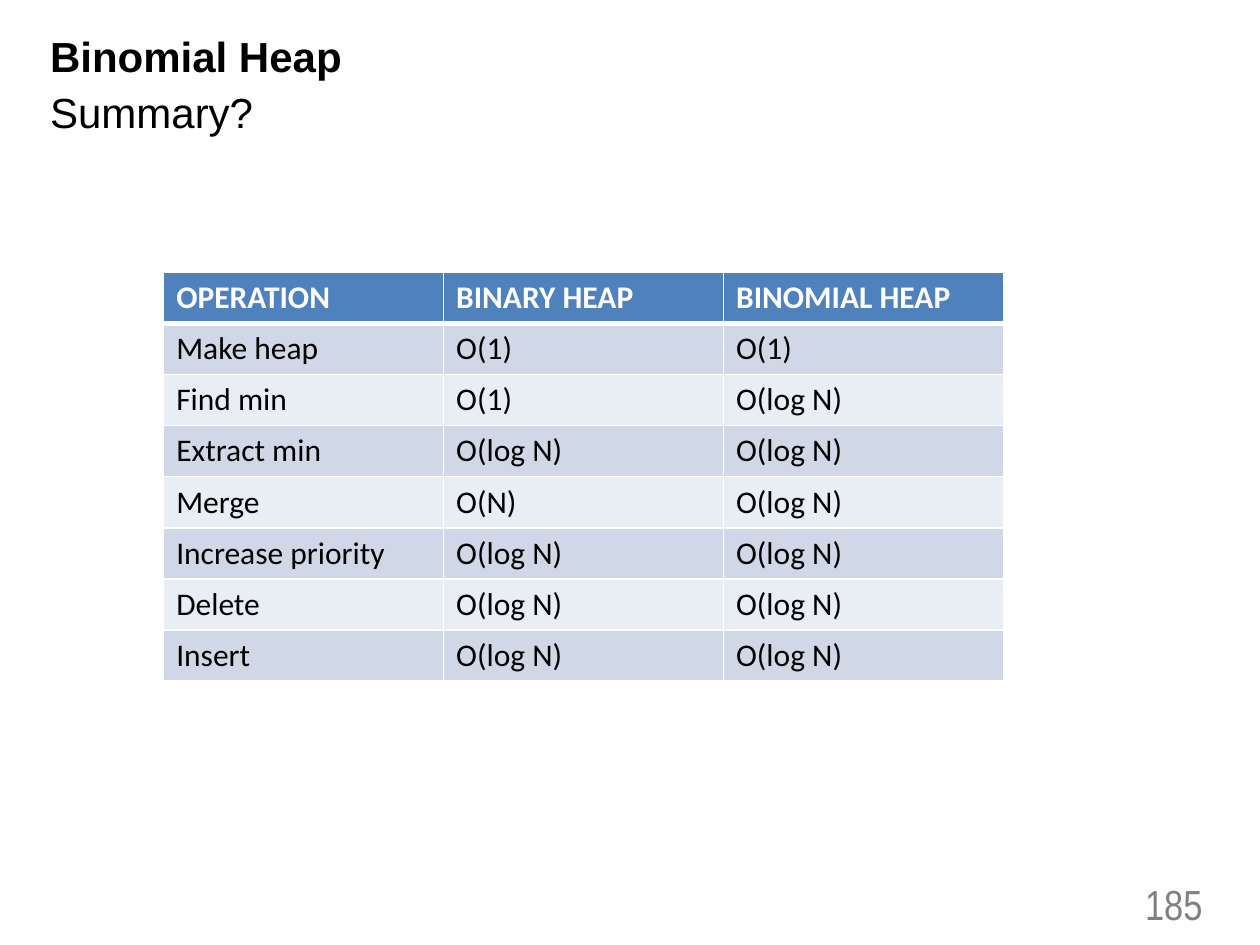
from lxml.etree import SubElement
from pptx import Presentation
from pptx.dml.color import RGBColor
from pptx.enum.text import MSO_ANCHOR as Anchor, PP_ALIGN as Align
from pptx.oxml.ns import qn
from pptx.util import Cm, Pt

COLORS = {
    "text": "000000",
    "number": "808080",
    "header": "4F81BD",
    "header_text": "FFFFFF",
    "odd_row": "D0D8E8",
    "even_row": "E9EDF4",
    "border": "FFFFFF",
}

HEAP_COSTS = [
    ("OPERATION", "BINARY HEAP", "BINOMIAL HEAP"),
    ("Make heap", "O(1)", "O(1)"),
    ("Find min", "O(1)", "O(log N)"),
    ("Extract min", "O(log N)", "O(log N)"),
    ("Merge", "O(N)", "O(log N)"),
    ("Increase priority", "O(log N)", "O(log N)"),
    ("Delete", "O(log N)", "O(log N)"),
    ("Insert", "O(log N)", "O(log N)"),
]


def set_font(paragraph, name, size, color, bold=False):
    font = paragraph.font
    font.name, font.size, font.bold = name, Pt(size), bold
    font.color.rgb = RGBColor.from_string(COLORS[color])


def add_text_frame(slide, left, top, width, height):
    frame = slide.shapes.add_textbox(left, top, width, height).text_frame
    frame.word_wrap = True
    return frame


def add_title(slide, left, top, width, height):
    frame = add_text_frame(slide, left, top, width, height)
    frame.text = "Binomial Heap\nSummary?"
    heading, subheading = frame.paragraphs
    subheading.space_before = Pt(6)
    for paragraph in (heading, subheading):
        paragraph.line_spacing = 0.9
        set_font(paragraph, "Arial", 24, "text", bold=paragraph is heading)


def add_slide_number(slide, left, top, width, height):
    frame = add_text_frame(slide, left, top, width, height)
    frame.vertical_anchor = Anchor.MIDDLE
    paragraph = frame.paragraphs[0]
    paragraph.text = "185"
    paragraph.alignment = Align.RIGHT
    set_font(paragraph, "Arial Narrow", 24, "number")


def set_borders(cell, **widths):
    """Draw the cell's edges; widths in points, in the order L, R, T, B."""
    properties = cell._tc.get_or_add_tcPr()
    for side, width in widths.items():
        line = SubElement(properties, qn(f"a:ln{side}"), w=str(Pt(width)))
        fill = SubElement(line, qn("a:solidFill"))
        SubElement(fill, qn("a:srgbClr"), val=COLORS["border"])


def add_cost_table(slide, left, top, width, height):
    row_count, column_count = len(HEAP_COSTS), len(HEAP_COSTS[0])
    table = slide.shapes.add_table(
        row_count, column_count, left, top, width, height
    ).table
    for row, texts in enumerate(HEAP_COSTS):
        is_header = row == 0
        if is_header:
            fill = "header"
        else:
            fill = "odd_row" if row % 2 else "even_row"
        for column, text in enumerate(texts):
            cell = table.cell(row, column)
            set_borders(cell, L=1, R=1, T=3 if row == 1 else 1,
                        B=3 if is_header else 1)
            cell.fill.solid()
            cell.fill.fore_color.rgb = RGBColor.from_string(COLORS[fill])
            cell.text = text
            set_font(cell.text_frame.paragraphs[0], "Calibri", 18,
                     "header_text" if is_header else "text", bold=is_header)


def main():
    presentation = Presentation()
    presentation.slide_width, presentation.slide_height = Cm(25.4), Cm(19.05)
    slide = presentation.slides.add_slide(presentation.slide_layouts[6])
    add_slide_number(slide, Cm(21.11), Cm(17.7), Cm(3.38), Cm(1.02))
    add_title(slide, Cm(0.76), Cm(0.61), Cm(14.5), Cm(2.16))
    add_cost_table(slide, Cm(3.3), Cm(5.49), Cm(16.93), Cm(8.24))
    presentation.save("out.pptx")


if __name__ == "__main__":
    main()
